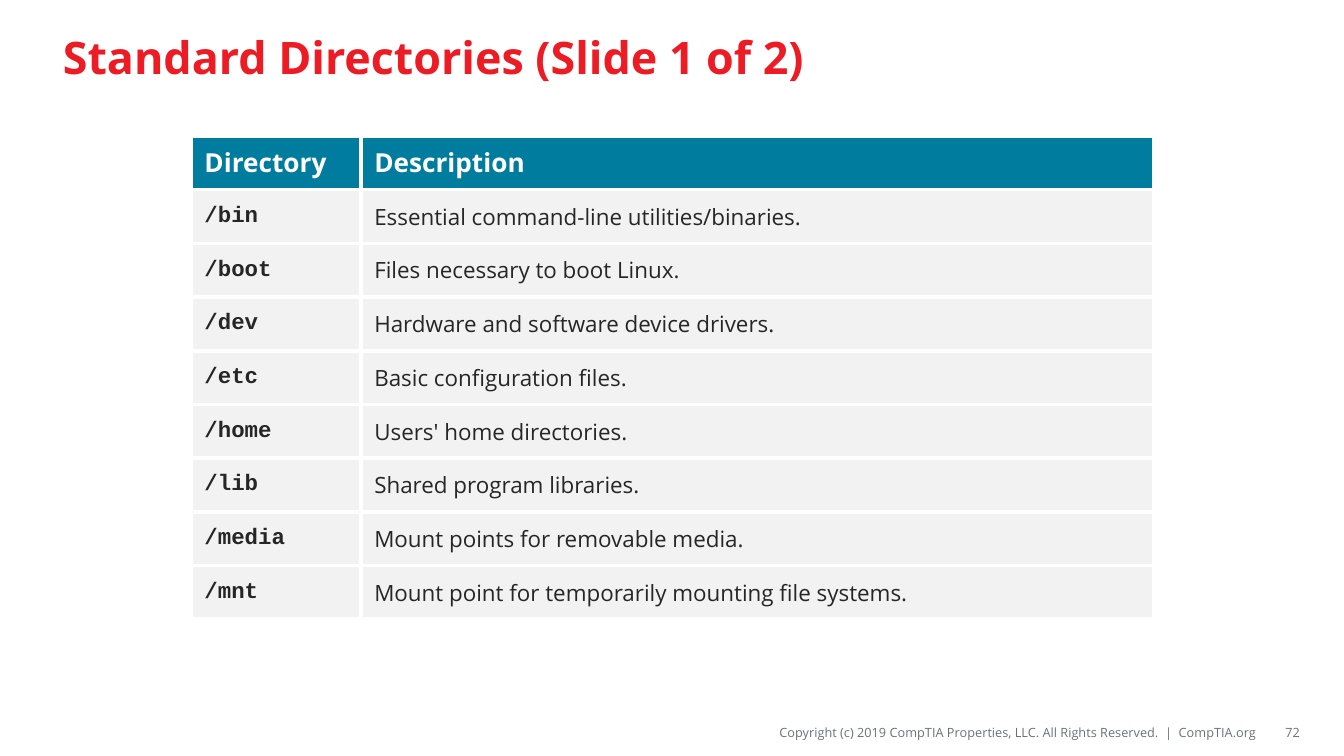
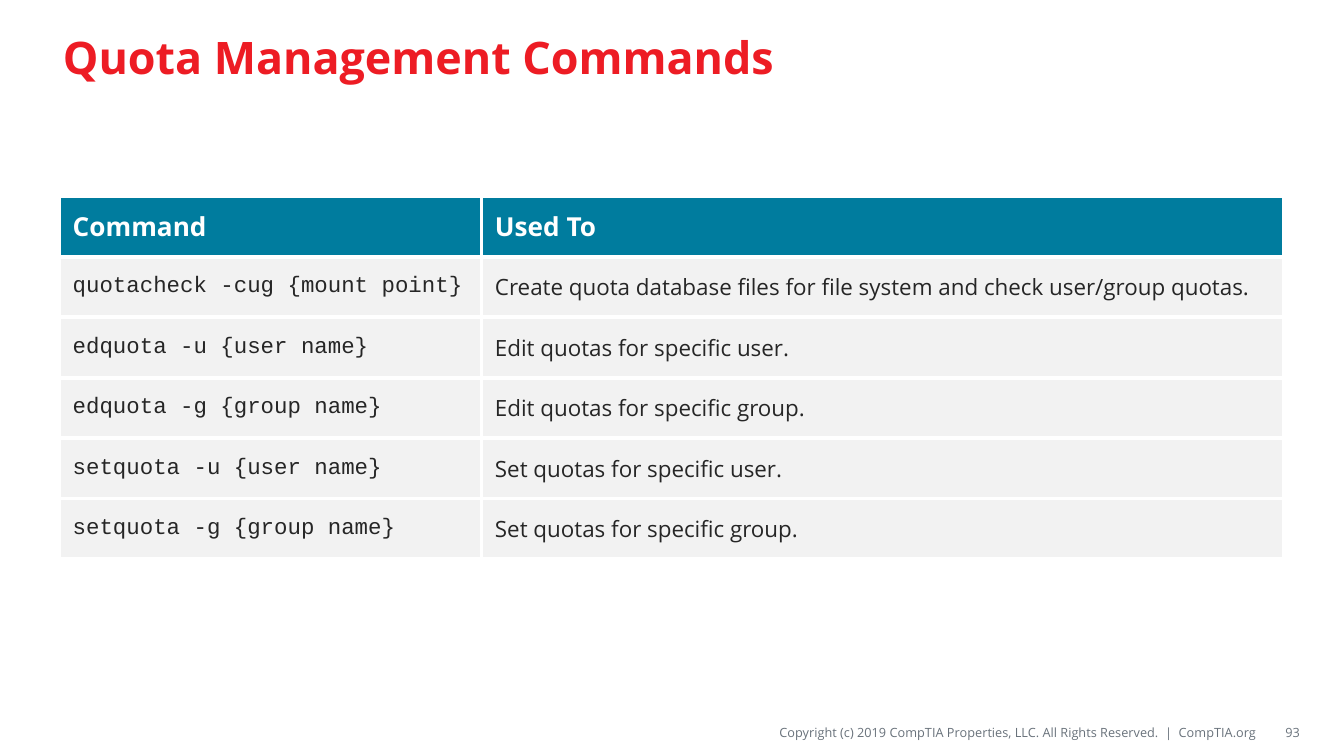
from dataclasses import dataclass
from typing import Any

from lxml.etree import SubElement
from pptx import Presentation
from pptx.dml.color import RGBColor
from pptx.enum.text import MSO_ANCHOR, PP_ALIGN
from pptx.oxml.ns import qn
from pptx.slide import Slide
from pptx.table import _Cell
from pptx.text.text import TextFrame
from pptx.util import Cm, Pt


# Theme
@dataclass(frozen=True)
class TextStyle:
    font: str
    size: float
    color: str
    bold: bool = False
    align: PP_ALIGN = PP_ALIGN.LEFT


@dataclass(frozen=True)
class Theme:
    title: TextStyle = TextStyle("Open Sans", 24, "ED1C24", True)
    header: TextStyle = TextStyle("Open Sans", 14, "FFFFFF", True)
    body: TextStyle = TextStyle("Open Sans", 12, "262626")
    code: TextStyle = TextStyle("Courier New", 12, "262626")
    strong_code: TextStyle = TextStyle("Courier New", 12, "262626", True)
    footer: TextStyle = TextStyle("Open Sans", 6.8, "69727B", align=PP_ALIGN.RIGHT)
    header_fill: str = "007C9E"
    body_fill: str = "F2F2F2"
    border: str = "FFFFFF"
    border_width: float = 2.25


THEME = Theme()


# Repeated elements, with lengths in centimetres
@dataclass(frozen=True)
class TextArea:
    left: float
    top: float
    width: float
    height: float
    style: TextStyle
    margins: tuple[float, float, float, float]


@dataclass(frozen=True)
class TablePage:
    title: str
    number: int
    left: float
    top: float
    height: float
    columns: tuple[float, float]
    key_style: TextStyle
    rows: list[tuple[str, str]]


TITLE = TextArea(0.94, 0.2, 23.5, 1.75, THEME.title, (0.25, 0.13, 0.25, 0.13))
COPYRIGHT = TextArea(9.86, 13.56, 13.89, 0.56, THEME.footer, (0, 0.1, 0, 0.1))
NUMBER = TextArea(23.83, 13.56, 0.74, 0.56, THEME.footer, (0.25, 0.13, 0, 0.13))
COPYRIGHT_LINE = (
    "Copyright (c) 2019 CompTIA Properties, LLC. All Rights Reserved.  |  CompTIA.org"
)

PAGES = [
    TablePage(
        "Standard Directories (Slide 1 of 2)", 72,
        3.61, 2.57, 9.14, (3.21, 14.98), THEME.strong_code,
        [
            ("Directory", "Description"),
            ("/bin", "Essential command-line utilities/binaries."),
            ("/boot", "Files necessary to boot Linux."),
            ("/dev", "Hardware and software device drivers."),
            ("/etc", "Basic configuration files."),
            ("/home", "Users' home directories."),
            ("/lib", "Shared program libraries."),
            ("/media", "Mount points for removable media."),
            ("/mnt", "Mount point for temporarily mounting file systems."),
        ],
    ),
    TablePage(
        "Quota Management Commands", 93,
        1.12, 3.71, 6.86, (7.98, 15.16), THEME.code,
        [
            ("Command", "Used To"),
            ("quotacheck -cug {mount point}",
             "Create quota database files for file system and check user/group quotas."),
            ("edquota -u {user name}", "Edit quotas for specific user."),
            ("edquota -g {group name}", "Edit quotas for specific group."),
            ("setquota -u {user name}", "Set quotas for specific user."),
            ("setquota -g {group name}", "Set quotas for specific group."),
        ],
    ),
]


# Drawing functions
def set_all(target: Any, values: dict[str, Any]) -> None:
    for name, value in values.items():
        setattr(target, name, value)


def write(frame: TextFrame, text: str, style: TextStyle) -> None:
    para = frame.paragraphs[0]
    para.alignment = style.align
    span = para.add_run()
    span.text = text
    set_all(span.font, {"name": style.font, "size": Pt(style.size), "bold": style.bold})
    span.font.color.rgb = RGBColor.from_string(style.color)


def add_text(page: Slide, area: TextArea, text: str) -> None:
    box = page.shapes.add_textbox(
        Cm(area.left), Cm(area.top), Cm(area.width), Cm(area.height)
    )
    left, top, right, bottom = map(Cm, area.margins)
    set_all(box.text_frame, {
        "word_wrap": True,
        "vertical_anchor": MSO_ANCHOR.MIDDLE,
        "margin_left": left,
        "margin_top": top,
        "margin_right": right,
        "margin_bottom": bottom,
    })
    write(box.text_frame, text, area.style)


def add_borders(cell: _Cell) -> None:
    properties = cell._tc.get_or_add_tcPr()
    for side in ("a:lnL", "a:lnR", "a:lnT", "a:lnB"):
        line = SubElement(properties, qn(side), w=str(Pt(THEME.border_width)))
        fill = SubElement(line, qn("a:solidFill"))
        SubElement(fill, qn("a:srgbClr"), val=THEME.border)


def fill_cell(cell: _Cell, text: str, style: TextStyle, fill: str) -> None:
    add_borders(cell)
    cell.fill.solid()
    cell.fill.fore_color.rgb = RGBColor.from_string(fill)
    cell.vertical_anchor = MSO_ANCHOR.MIDDLE
    write(cell.text_frame, text, style)


def add_grid(page: Slide, content: TablePage) -> None:
    table = page.shapes.add_table(
        len(content.rows), len(content.columns),
        Cm(content.left), Cm(content.top),
        Cm(sum(content.columns)), Cm(content.height),
    ).table
    table.horz_banding = False
    for column, width in zip(table.columns, content.columns):
        column.width = Cm(width)
    for row_index, texts in enumerate(content.rows):
        table.rows[row_index].height = Cm(content.height / len(content.rows))
        if row_index == 0:
            styles, fill = (THEME.header, THEME.header), THEME.header_fill
        else:
            styles, fill = (content.key_style, THEME.body), THEME.body_fill
        for column_index, (text, style) in enumerate(zip(texts, styles)):
            fill_cell(table.cell(row_index, column_index), text, style, fill)


def main() -> None:
    deck = Presentation()
    set_all(deck, {"slide_width": Cm(25.4), "slide_height": Cm(14.29)})
    for content in PAGES:
        page = deck.slides.add_slide(deck.slide_layouts[6])
        add_text(page, COPYRIGHT, COPYRIGHT_LINE)
        add_text(page, TITLE, content.title)
        add_text(page, NUMBER, str(content.number))
        add_grid(page, content)
    deck.save("out.pptx")


if __name__ == "__main__":
    main()
